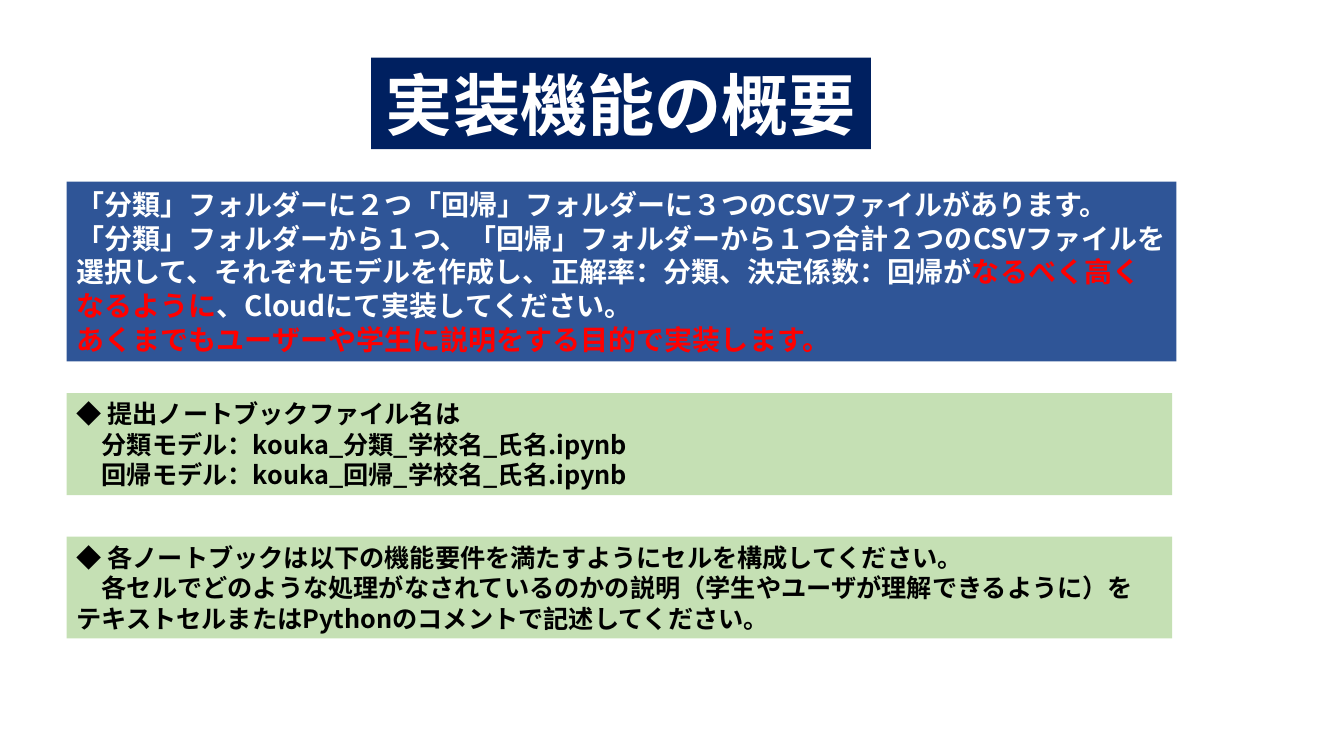
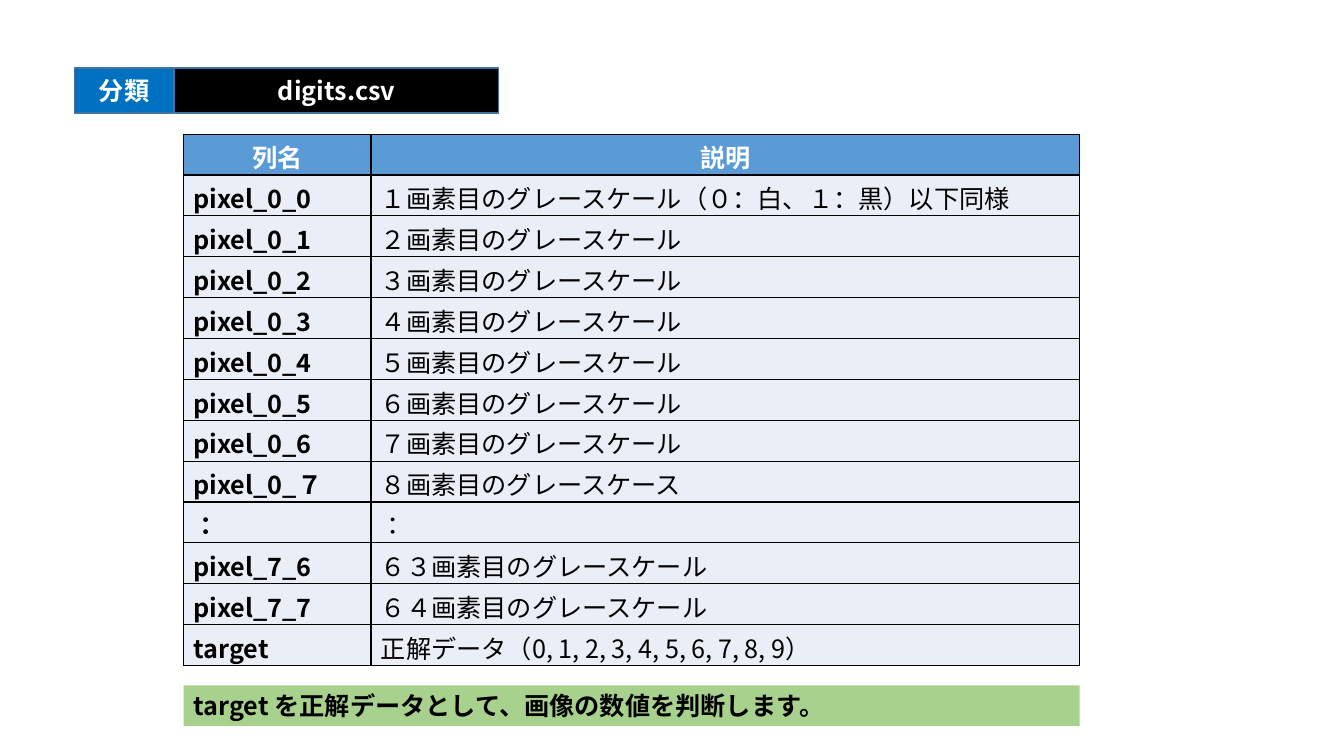
"""Build two slides: an overview of the assignment and the columns of digits.csv."""
from dataclasses import dataclass

from lxml import etree
from pptx import Presentation
from pptx import util as u
from pptx.dml.color import RGBColor
from pptx.enum import shapes, text
from pptx.oxml import ns


@dataclass(frozen=True)
class Theme:
    font: str = "Noto Sans CJK JP"
    white: str = "FFFFFF"
    black: str = "000000"
    red: str = "FF0000"
    navy: str = "002060"
    blue: str = "2F5597"
    tag: str = "0070C0"
    outline: str = "43739E"
    pale_green: str = "C5E0B4"
    green: str = "A9D18E"
    header: str = "5B9BD5"
    row: str = "EAEFF7"
    title_size: int = 48
    lead_size: int = 20
    body_size: int = 18
    line_factor: float = 1.21


theme = Theme()
CENTER = text.PP_ALIGN.CENTER
LEFT = text.PP_ALIGN.LEFT


def write(frame, paragraphs, size, color, align=LEFT, bold=True, spacing=None):
    """Fill a text frame; a run is a string or a (string, colour) pair."""
    for index, runs in enumerate(paragraphs):
        paragraph = frame.add_paragraph() if index else frame.paragraphs[0]
        paragraph.alignment = align
        paragraph.line_spacing = spacing
        for item in runs:
            words, run_color = (item, color) if isinstance(item, str) else item
            run = paragraph.add_run()
            run.text = words
            run.font.size = u.Pt(size)
            run.font.bold = bold
            run.font.name = theme.font
            run.font.color.rgb = RGBColor.from_string(run_color)
            east_asian = etree.SubElement(run.font._element, ns.qn("a:ea"))
            east_asian.set("typeface", theme.font)


def panel(shape, box, fill, paragraphs, size, color, align=LEFT, outline=None):
    """Place a filled rectangle and write its text."""
    shape.left, shape.top, shape.width, shape.height = (u.Cm(length) for length in box)
    shape.shadow.inherit = False
    shape.fill.solid()
    shape.fill.fore_color.rgb = RGBColor.from_string(fill)
    if outline:
        shape.line.color.rgb = RGBColor.from_string(outline)
        shape.line.width = u.Pt(1)
    else:
        shape.line.fill.background()
    frame = shape.text_frame
    frame.word_wrap = True
    frame.auto_size = text.MSO_AUTO_SIZE.NONE
    frame.vertical_anchor = text.MSO_ANCHOR.MIDDLE if align == CENTER else text.MSO_ANCHOR.TOP
    frame.margin_left = frame.margin_right = u.Cm(0.25)
    frame.margin_top = frame.margin_bottom = u.Cm(0.13)
    write(frame, paragraphs, size, color, align, spacing=u.Pt(size * theme.line_factor))


presentation = Presentation()
presentation.slide_width = u.Cm(33.87)
presentation.slide_height = u.Cm(19.05)
title_only = presentation.slide_layouts[5]
RECTANGLE = shapes.MSO_SHAPE.RECTANGLE

overview = presentation.slides.add_slide(title_only)
panel(overview.shapes.title, (9.35, 1.45, 12.6, 2.31), theme.navy,
      [["実装機能の概要"]], theme.title_size, theme.white, CENTER)

lead = [
    ["「分類」フォルダーに２つ「回帰」フォルダーに３つのCSVファイルがあります。"],
    ["「分類」フォルダーから１つ、「回帰」フォルダーから１つ合計２つのCSVファイルを選択して、"
     "それぞれモデルを作成し、正解率：分類、決定係数：回帰が",
     ("なるべく高くなるように", theme.red),
     "、Cloudにて実装してください。"],
    [("あくまでもユーザーや学生に説明をする目的で実装します。", theme.red)],
]
file_names = [
    ["◆ 提出ノートブックファイル名は"],
    *([f"　{kind}モデル：kouka_{kind}_学校名_氏名.ipynb"] for kind in ("分類", "回帰")),
]
cell_rules = [
    ["◆ 各ノートブックは以下の機能要件を満たすようにセルを構成してください。"],
    ["　各セルでどのような処理がなされているのかの説明（学生やユーザが理解できるように）を"],
    ["テキストセルまたはPythonのコメントで記述してください。"],
]
for top, width, height, fill, paragraphs, size, color in (
    (4.58, 27.97, 4.53, theme.blue, lead, theme.lead_size, theme.white),
    (9.91, 27.86, 2.57, theme.pale_green, file_names, theme.body_size, theme.black),
    (13.52, 27.86, 2.57, theme.pale_green, cell_rules, theme.body_size, theme.black),
):
    panel(overview.shapes.add_shape(RECTANGLE, 0, 0, 0, 0), (1.68, top, width, height),
          fill, paragraphs, size, color)

columns = presentation.slides.add_slide(title_only)
panel(columns.shapes.title, (4.4, 1.71, 8.17, 1.14), theme.black,
      [["digits.csv"]], theme.body_size, theme.white, CENTER, theme.outline)
panel(columns.shapes.add_shape(RECTANGLE, 0, 0, 0, 0), (1.88, 1.71, 2.5, 1.14), theme.tag,
      [["分類"]], theme.body_size, theme.white, CENTER, theme.outline)
panel(columns.shapes.add_shape(RECTANGLE, 0, 0, 0, 0), (4.63, 17.27, 22.58, 1.02), theme.green,
      [["target を正解データとして、画像の数値を判断します。"]], theme.body_size, theme.black)

rows = [
    ("列名", "説明"),
    ("pixel_0_0", "１画素目のグレースケール（０：白、１：黒）以下同様"),
    *((f"pixel_0_{index}", f"{number}画素目のグレースケール")
      for index, number in enumerate("２３４５６７", start=1)),
    ("pixel_0_７", "８画素目のグレースケース"),
    ("：", "："),
    ("pixel_7_6", "６３画素目のグレースケール"),
    ("pixel_7_7", "６４画素目のグレースケール"),
    ("target", "正解データ（0, 1, 2, 3, 4, 5, 6, 7, 8, 9）"),
]
row_height = 1.03
table = columns.shapes.add_table(len(rows), 2, u.Cm(4.63), u.Cm(3.38),
                                 u.Cm(22.58), u.Cm(row_height * len(rows))).table
for column, width in zip(table.columns, (4.72, 17.86)):
    column.width = u.Cm(width)
for row_index, values in enumerate(rows):
    table.rows[row_index].height = u.Cm(row_height)
    is_header = row_index == 0
    for column_index, value in enumerate(values):
        cell = table.cell(row_index, column_index)
        cell.margin_left = cell.margin_right = u.Cm(0.25)
        cell.margin_top, cell.margin_bottom = u.Cm(0.1), 0
        cell.vertical_anchor = text.MSO_ANCHOR.BOTTOM
        properties = cell._tc.get_or_add_tcPr()
        for side in ("lnL", "lnR", "lnT", "lnB"):
            border = etree.SubElement(properties, ns.qn(f"a:{side}"), w=str(u.Pt(1)))
            border_fill = etree.SubElement(border, ns.qn("a:solidFill"))
            etree.SubElement(border_fill, ns.qn("a:srgbClr"), val=theme.black)
        cell.fill.solid()
        cell.fill.fore_color.rgb = RGBColor.from_string(theme.header if is_header else theme.row)
        write(cell.text_frame, [[value]], theme.body_size,
              theme.white if is_header else theme.black,
              CENTER if is_header else LEFT, bold=is_header or column_index == 0)

presentation.save("out.pptx")
